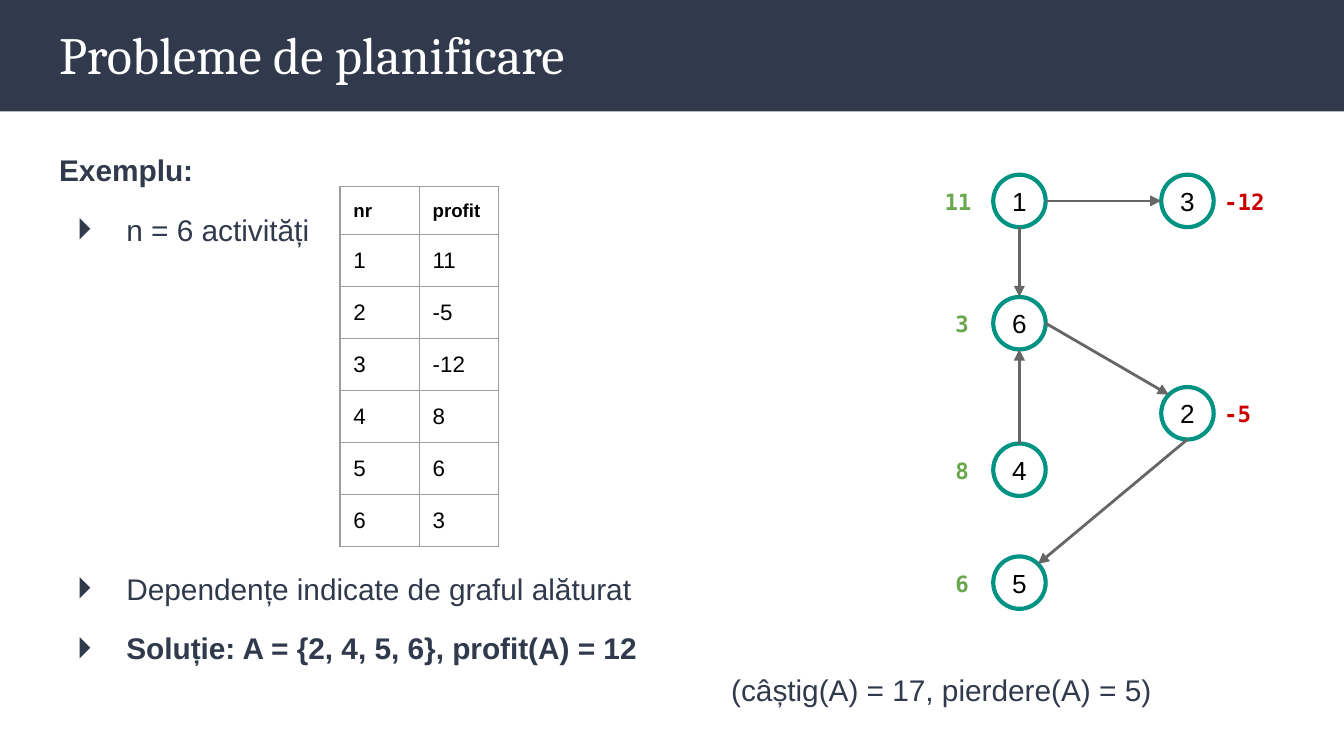
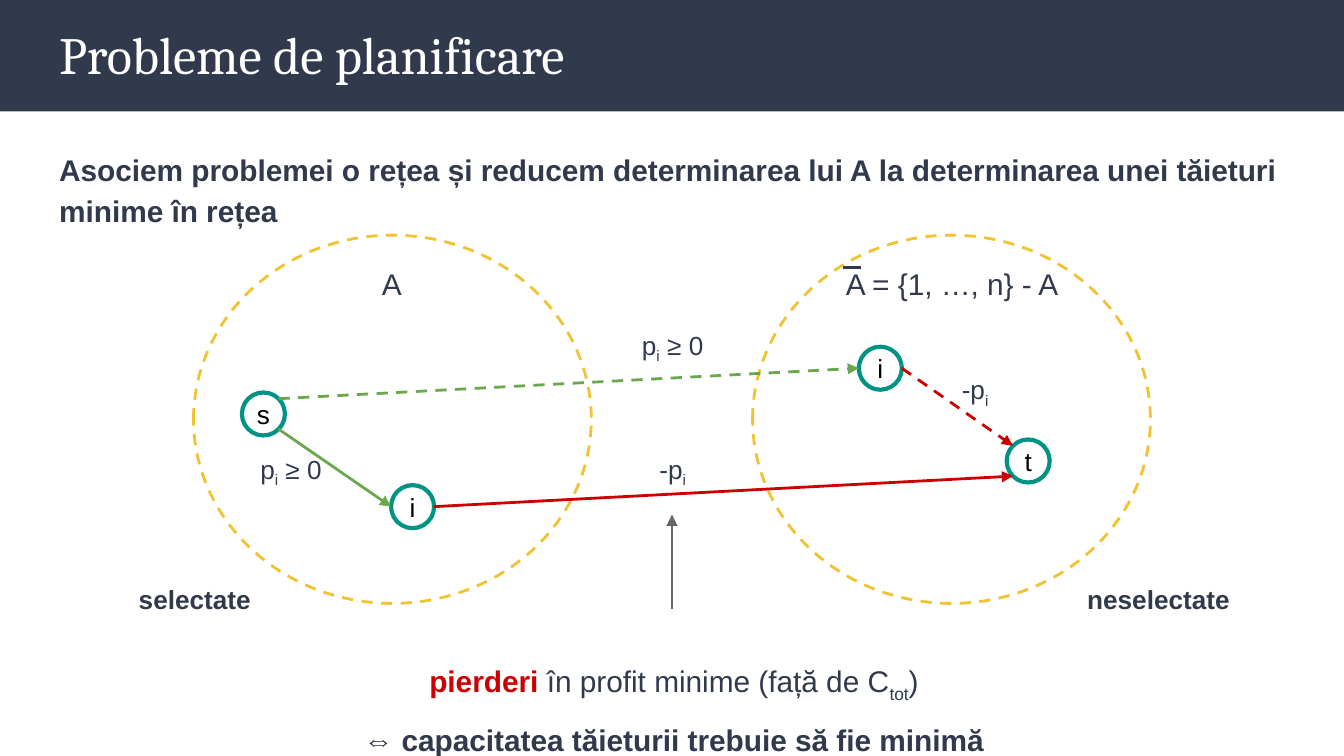
import math

import pptx
import pptx.util
import pptx.dml.color
import pptx.enum.dml
import pptx.enum.shapes
import pptx.enum.text
import pptx.oxml
import pptx.oxml.ns
from lxml import etree

Inches = pptx.util.Inches
Pt = pptx.util.Pt
RGBColor = pptx.dml.color.RGBColor
ALIGN = pptx.enum.text.PP_ALIGN
ANCHOR = pptx.enum.text.MSO_ANCHOR
AUTO_SIZE = pptx.enum.text.MSO_AUTO_SIZE
SHAPE = pptx.enum.shapes.MSO_SHAPE

NAVY = RGBColor(0x31, 0x39, 0x4D)
WHITE = RGBColor(0xFF, 0xFF, 0xFF)
BLACK = RGBColor(0, 0, 0)
TEAL = RGBColor(0x00, 0x93, 0x84)
GREY = RGBColor(0x66, 0x66, 0x66)
BORDER = RGBColor(0x9E, 0x9E, 0x9E)
GREEN = RGBColor(0x6A, 0xA8, 0x4F)
RED = RGBColor(0xCC, 0, 0)
YELLOW = RGBColor(0xF1, 0xC2, 0x32)

TITLE = "Probleme de planificare"
SANS, SERIF, MONO = "Arial", "Cambria", "DejaVu Sans Mono"

# Connection sites of an ellipse, counted counterclockwise from the top
TOP, TOP_LEFT, LEFT, BOTTOM_LEFT, BOTTOM, BOTTOM_RIGHT, RIGHT, TOP_RIGHT = range(8)


def add_child(parent, tag, **attributes):
    child = etree.SubElement(parent, pptx.oxml.ns.qn(tag))
    for name, value in attributes.items():
        child.set(name, str(value))
    return child


def place(shape, left, top, width, height):
    shape.left, shape.top = Inches(left), Inches(top)
    shape.width, shape.height = Inches(width), Inches(height)


def style_font(font, size, color, bold=False, name=SANS):
    font.size, font.bold, font.name = Pt(size), bold, name
    font.color.rgb = color


def set_margins(target, inches):
    target.margin_left = target.margin_right = Inches(inches)
    target.margin_top = target.margin_bottom = Inches(inches)


def add_spans(para, text):
    """Adds text in which each part between underscores is a subscript."""
    for index, part in enumerate(text.split("_")):
        if part:
            span = para.add_run()
            span.text = part
            if index % 2:
                span._r.get_or_add_rPr().set("baseline", "-25000")


def add_label(page, text, box, size, color=NAVY, bold=False, name=SANS, align=ALIGN.CENTER):
    label = page.shapes.add_textbox(*map(Inches, box))
    frame = label.text_frame
    frame.word_wrap = True
    frame.auto_size = AUTO_SIZE.SHAPE_TO_FIT_TEXT
    set_margins(frame, 0.1)
    para = frame.paragraphs[0]
    para.alignment = align
    style_font(para.font, size, color, bold, name)
    add_spans(para, text)
    return label


def add_ellipse(page, box, color, width, dashed=False):
    ellipse = page.shapes.add_shape(SHAPE.OVAL, *map(Inches, box))
    ellipse.shadow.inherit = False
    ellipse.fill.background()
    ellipse.line.color.rgb = color
    ellipse.line.width = Pt(width)
    if dashed:
        ellipse.line.dash_style = pptx.enum.dml.MSO_LINE.DASH
    return ellipse


def add_node(page, text, left, top, size):
    node = add_ellipse(page, (left, top, size, size), TEAL, 2.25)
    frame = node.text_frame
    set_margins(frame, 0.02)
    frame.vertical_anchor = ANCHOR.MIDDLE
    para = frame.paragraphs[0]
    para.alignment = ALIGN.CENTER
    style_font(para.font, 14, BLACK)
    para.add_run().text = text
    return node


def add_line(page, start, end, color, width=1.5, dashed=False, arrow=True):
    line = page.shapes.add_connector(pptx.enum.shapes.MSO_CONNECTOR.STRAIGHT, *start, *end)
    line.line.color.rgb = color
    line.line.width = Pt(width)
    if dashed:
        line.line.dash_style = pptx.enum.dml.MSO_LINE.DASH
    if arrow:
        add_child(line.line._get_or_add_ln(), "a:tailEnd", type="triangle")
    add_child(line._element.spPr, "a:effectLst")
    return line


def site_point(node, site):
    angle, radius = site * math.pi / 4, node.width / 2
    return (round(node.left + radius * (1 - math.sin(angle))),
            round(node.top + radius * (1 - math.cos(angle))))


def add_edge(page, source, source_site, target, target_site, color, dashed=False):
    """Joins two round nodes, glued at the given ellipse sites."""
    edge = add_line(page, site_point(source, source_site),
                    site_point(target, target_site), color, dashed=dashed)
    glue = edge._element.nvCxnSpPr.cNvCxnSpPr
    for end, node, site in ((glue.get_or_add_stCxn(), source, source_site),
                            (glue.get_or_add_endCxn(), target, target_site)):
        end.id, end.idx = node.shape_id, site


def add_body_para(frame, text, bold=False, bullet=False, before=0, tab=None):
    first = not frame.paragraphs[0].runs
    para = frame.paragraphs[0] if first else frame.add_paragraph()
    para.line_spacing = 1.15
    para.space_before, para.space_after = Pt(before), Pt(0)
    properties = para._p.get_or_add_pPr()
    properties.set("marL", str(Inches(0.5 if bullet else 0)))
    properties.set("indent", str(Inches(-0.37 if bullet else 0)))
    if bullet:
        color = add_child(properties, "a:buClr")
        add_child(color, "a:srgbClr", val=NAVY)
        add_child(properties, "a:buChar", char="⏵")
    else:
        add_child(properties, "a:buNone")
    if tab:
        add_child(add_child(properties, "a:tabLst"), "a:tab", pos=Inches(tab), algn="l")
    style_font(para.font, 16, NAVY, bold)
    para.add_run().text = text
    return para


def prepare_layout(layout, page):
    """Puts the band behind the layout's placeholders and moves these."""
    band = page.shapes.add_shape(SHAPE.RECTANGLE, 0, 0, Inches(10), Inches(0.83))
    band.shadow.inherit = False
    band.fill.solid()
    band.fill.fore_color.rgb = NAVY
    band.line.fill.background()
    layout.shapes._spTree.insert(2, band._element)
    place(layout.placeholders[0], 0.34, 0.06, 9.32, 0.68)
    place(layout.placeholders[1], 0.34, 0.99, 9.32, 4.57)


def fill_title(page):
    place(page.shapes.title, 0.34, 0.06, 9.32, 0.68)
    frame = page.shapes.title.text_frame
    set_margins(frame, 0.1)
    frame.auto_size = AUTO_SIZE.NONE
    frame.vertical_anchor = ANCHOR.MIDDLE
    para = frame.paragraphs[0]
    para.alignment = ALIGN.LEFT
    style_font(para.font, 28, WHITE, name=SERIF)
    para.add_run().text = TITLE


def open_body(page, height):
    body = page.placeholders[1]
    place(body, 0.34, 0.99, 9.32, height)
    frame = body.text_frame
    set_margins(frame, 0.1)
    frame.auto_size = AUTO_SIZE.NONE
    frame.vertical_anchor = ANCHOR.TOP
    return frame


def add_profit_table(page, left, top):
    rows = [("nr", "profit"), ("1", "11"), ("2", "-5"), ("3", "-12"),
            ("4", "8"), ("5", "6"), ("6", "3")]
    holder = page.shapes.add_table(len(rows), 2, 0, 0, Inches(1.18), Inches(0.98))
    table = holder.table
    table.first_row = table.horz_banding = False
    for column in table.columns:
        column.width = Inches(0.59)
    for r, values in enumerate(rows):
        header = r == 0
        # Rows grow to fit their text
        table.rows[r].height = Inches(0.32 if header else 0.11)
        for c, value in enumerate(values):
            cell = table.cell(r, c)
            set_margins(cell, 0.1)
            properties = cell._tc.get_or_add_tcPr()
            for side in ("a:lnL", "a:lnR", "a:lnT", "a:lnB"):
                border = add_child(properties, side, w=Pt(0.75))
                add_child(add_child(border, "a:solidFill"), "a:srgbClr", val=BORDER)
            cell.fill.background()
            para = cell.text_frame.paragraphs[0]
            style_font(para.font, 10 if header else 12, BLACK, header)
            para.add_run().text = value
    place(holder, left, top, 3.28, 3.28)


def add_dependency_graph(page, left, top):
    # name: offset of the node, profit, offset of the profit from the node
    activities = {"1": (0, 0, "11", -0.46), "3": (1.25, 0, "-12", 0.37),
                  "6": (0, 0.91, "3", -0.38), "4": (0, 2, "8", -0.38),
                  "2": (1.25, 1.58, "-5", 0.37), "5": (0, 2.84, "6", -0.38)}
    edges = [("1", RIGHT, "3", LEFT), ("1", BOTTOM, "6", TOP), ("4", TOP, "6", BOTTOM),
             ("6", RIGHT, "2", TOP_LEFT), ("2", BOTTOM, "5", TOP_RIGHT)]
    nodes = {}
    for name, (x, y, profit, shift) in activities.items():
        nodes[name] = add_node(page, name, left + x, top + y, 0.39)
        loss = profit.startswith("-")
        add_label(page, profit, (left + x + shift, top + y, 0.54 if loss else 0.46, 0.4),
                  12, RED if loss else GREEN, True, MONO, ALIGN.LEFT)
    for source, source_site, target, target_site in edges:
        add_edge(page, nodes[source], source_site, nodes[target], target_site, GREY)


def add_cut_network(page, left, top):
    for x in (0, 4.16):
        add_ellipse(page, (left + x, top, 2.96, 2.74), YELLOW, 1.5, dashed=True)
    places = [("s", 0.36, 1.17), ("i", 1.47, 1.86), ("i", 4.95, 0.83), ("t", 6.05, 1.52)]
    source, chosen, skipped, sink = [
        add_node(page, name, left + x, top + y, 0.32) for name, x, y in places]
    add_edge(page, source, BOTTOM_RIGHT, chosen, LEFT, GREEN)
    add_edge(page, source, TOP_RIGHT, skipped, LEFT, GREEN, dashed=True)
    add_edge(page, skipped, RIGHT, sink, TOP_LEFT, RED, dashed=True)
    add_edge(page, chosen, RIGHT, sink, BOTTOM_LEFT, RED)

    gain, loss = "p_i_ ≥ 0", "-p_i_"
    for text, x, y in ((gain, 3.19, 0.6), (loss, 3.19, 1.52),
                       (gain, 0.35, 1.52), (loss, 5.44, 0.93)):
        add_label(page, text, (left + x, top + y, 0.75, 0.44), 14)
    for text, x, width in (("A", 1.3, 0.35), ("A = {1, …, n} - A", 4.73, 1.83)):
        add_label(page, text, (left + x, top + 0.13, width, 0.47), 16)
    for text, x, width in (("selectate", -0.59, 1.2), ("neselectate", 6.49, 1.38)):
        add_label(page, text, (left + x, top + 2.49, width, 0.44), 14, bold=True)

    def point(x, y):
        return Inches(left + x), Inches(top + y)

    add_line(page, point(4.83, 0.24), point(4.97, 0.24), NAVY, arrow=False)
    add_line(page, point(3.56, 2.78), point(3.56, 2.08), GREY, 0.75)


def add_conclusion(page, left, top):
    label = add_label(page, "pierderi", (left, top, 4.93, 0.88), 16)
    losses = label.text_frame.paragraphs[0]
    losses.runs[0].font.bold = True
    losses.runs[0].font.color.rgb = RED
    add_spans(losses, " în profit minime (față de C_tot_)")
    capacity = label.text_frame.add_paragraph()
    capacity.alignment = ALIGN.CENTER
    style_font(capacity.font, 16, NAVY, True)
    add_spans(capacity, "⇔ capacitatea tăieturii trebuie să fie minimă")
    losses.line_spacing = capacity.line_spacing = 1.5


def build_example(page):
    fill_title(page)
    frame = open_body(page, 4.57)
    add_body_para(frame, "Exemplu:", bold=True)
    add_body_para(frame, "n = 6 activități", bullet=True, before=10)
    add_body_para(frame, "Dependențe indicate de graful alăturat", bullet=True, before=170)
    solution = add_body_para(frame, "Soluție: A = {2, 4, 5, 6}, profit(A) = 12", bold=True,
                             bullet=True, before=10, tab=5)
    solution.add_line_break()
    balance = solution.add_run()
    balance.text = "\t(câștig(A) = 17, pierdere(A) = 5)"
    balance.font.bold = False
    add_profit_table(page, 2.53, 1.39)
    add_dependency_graph(page, 7.39, 1.3)


def build_network(page):
    fill_title(page)
    frame = open_body(page, 4.11)
    add_body_para(frame, "Asociem problemei o rețea și reducem determinarea lui A la "
                  "determinarea unei tăieturi minime în rețea", bold=True)
    add_cut_network(page, 1.44, 1.75)
    add_conclusion(page, 2.55, 4.68)


def main():
    deck = pptx.Presentation()
    deck.slide_width = Inches(10)
    deck.slide_height = deck.slide_width * 9 // 16
    layout = deck.slide_layouts[1]
    pages = [deck.slides.add_slide(layout) for _ in range(2)]
    prepare_layout(layout, pages[0])
    build_example(pages[0])
    build_network(pages[1])
    deck.save("out.pptx")


if __name__ == "__main__":
    main()
